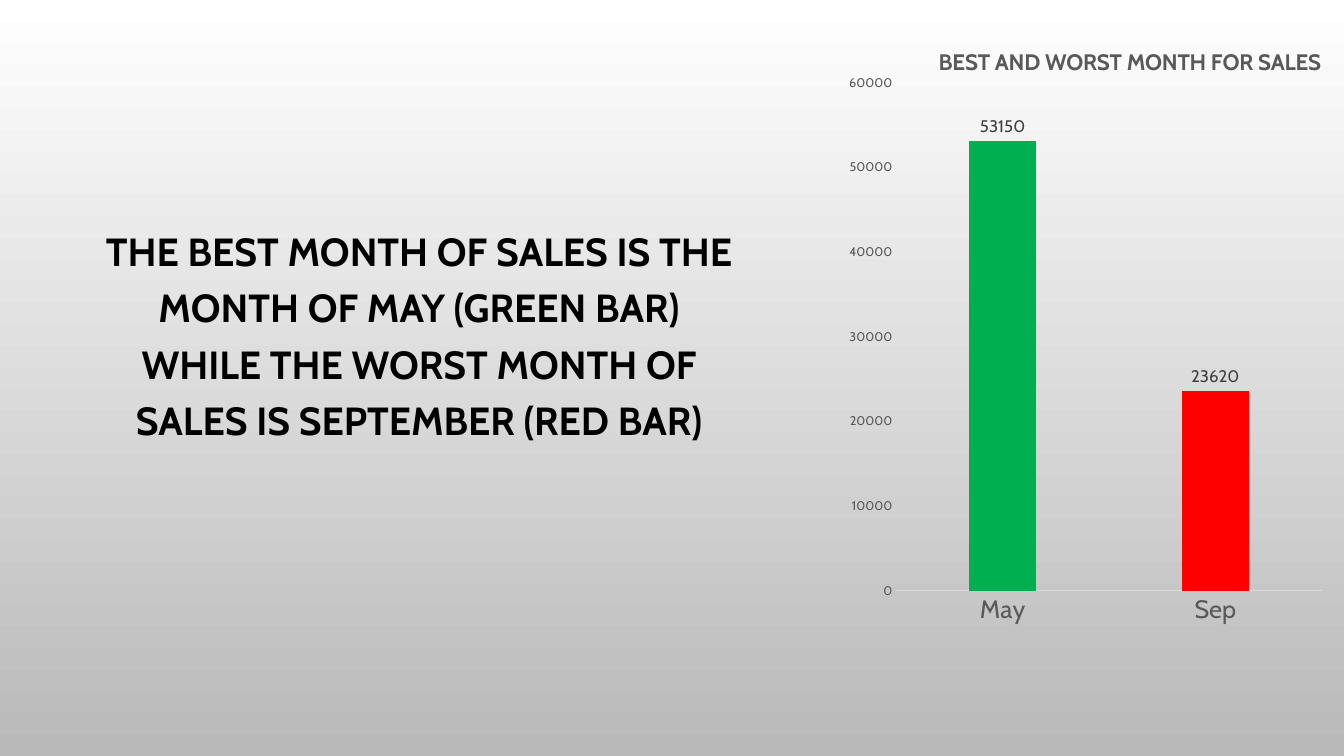
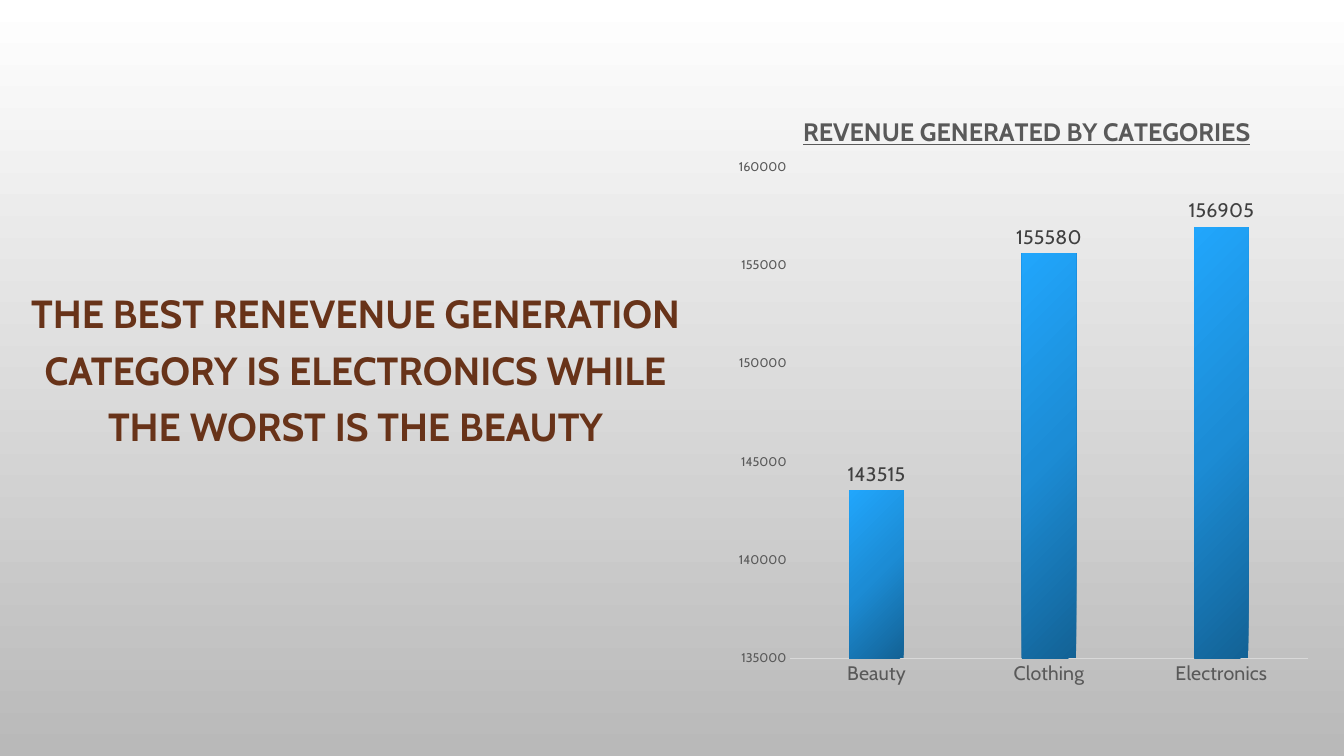
from copy import deepcopy
from dataclasses import dataclass
from lxml.etree import SubElement, Element
from pptx import Presentation
from pptx.chart.data import CategoryChartData
from pptx.dml.color import RGBColor
from pptx.enum.chart import XL_CHART_TYPE, XL_LABEL_POSITION, XL_TICK_MARK
from pptx.enum.text import MSO_ANCHOR, MSO_AUTO_SIZE, PP_ALIGN
from pptx.oxml.ns import qn
from pptx.util import Inches, Pt


@dataclass(frozen=True)
class Theme:
    face: str = "Cabin"
    black: str = "000000"
    brown: str = "683319"
    gray: str = "595959"
    dark: str = "404040"
    rule: str = "D9D9D9"
    green: str = "00B050"
    red: str = "FF0000"
    back: tuple = ((0, "FFFFFF"), (1, "B9B9B9"))
    blue: tuple = ((0, "136295"), (0.5, "1C8CD5"), (1, "21A6FC"))
    head: int = 28
    base: int = 10
    tick: int = 9


THEME = Theme()


def style(font, size, color, bold=False, under=False):
    font.name = THEME.face
    font.size = Pt(size)
    font.color.rgb = RGBColor.from_string(color)
    font.bold = bold
    font.underline = under


def fade(fill, root, stops, angle):
    fill.gradient()
    fill.gradient_angle = angle
    group = root.find(".//" + qn("a:gsLst"))
    while len(group) < len(stops):
        group.append(deepcopy(group[0]))
    for stop, (place, color) in zip(fill.gradient_stops, stops):
        stop.position = place
        stop.color.rgb = RGBColor.from_string(color)


def layout(node, index, box, size, inner=False):
    for old in node.findall(qn("c:layout")):
        node.remove(old)
    outer = Element(qn("c:layout"))
    node.insert(index, outer)
    manual = SubElement(outer, qn("c:manualLayout"))
    if inner:
        SubElement(manual, qn("c:layoutTarget")).set("val", "inner")
    for name in ("xMode", "yMode"):
        SubElement(manual, qn("c:" + name)).set("val", "edge")
    for name, part, whole in zip("xywh", box, size * 2):
        SubElement(manual, qn("c:" + name)).set("val", f"{part / whole:.4f}")


def claim(slide, box, text, color):
    title = slide.shapes.title
    title.left, title.top, title.width, title.height = map(Inches, box)
    frame = title.text_frame
    frame.text = text
    frame.word_wrap = True
    frame.auto_size = MSO_AUTO_SIZE.NONE
    frame.vertical_anchor = MSO_ANCHOR.TOP
    para = frame.paragraphs[0]
    para.alignment = PP_ALIGN.CENTER
    para.line_spacing = 1.2
    para.space_before = Pt(10)
    style(para.runs[0].font, THEME.head, color, bold=True)


def axes(chart, size, scale):
    cat, val = chart.category_axis, chart.value_axis
    for axis, points in ((cat, size), (val, THEME.tick)):
        axis.major_tick_mark = XL_TICK_MARK.NONE
        axis.minor_tick_mark = XL_TICK_MARK.NONE
        axis.has_major_gridlines = False
        style(axis.tick_labels.font, points, THEME.gray)
    cat.format.line.color.rgb = RGBColor.from_string(THEME.rule)
    cat.format.line.width = Pt(0.75)
    val.format.line.fill.background()
    val.minimum_scale, val.maximum_scale, val.major_unit = scale


def bars(slide, box, title, spot, area, data, scale, sizes, fills=(), under=False):
    head, name, label = sizes
    source = CategoryChartData(number_format="General")
    source.categories = list(data)
    source.add_series("Series 1", data.values())
    chart = slide.shapes.add_chart(
        XL_CHART_TYPE.COLUMN_CLUSTERED, *map(Inches, box), source).chart
    style(chart.font, THEME.base, THEME.black)
    chart.has_legend = False
    axes(chart, name, scale)

    chart.has_title = True
    para = chart.chart_title.text_frame.paragraphs[0]
    para.text = title
    style(para.runs[0].font, head, THEME.gray, True, under)
    chart.chart_title.include_in_layout = False
    size = box[2:]
    layout(chart.chart_title._element, 1, spot, size)
    layout(chart._chartSpace.find(".//" + qn("c:plotArea")), 0, area, size, inner=True)

    plot = chart.plots[0]
    plot.gap_width = 219
    plot.overlap = -27
    plot.vary_by_categories = False
    series = plot.series[0]
    if fills:
        for index, color in enumerate(fills):
            fill = series.points[index].format.fill
            fill.solid()
            fill.fore_color.rgb = RGBColor.from_string(color)
    else:
        fade(series.format.fill, series._element, THEME.blue, 135)
    labels = series.data_labels
    labels.show_value = True
    labels.position = XL_LABEL_POSITION.OUTSIDE_END
    style(labels.font, label, THEME.dark)


def months(slide):
    claim(slide, (0.91, 2.11, 6.49, 2.81),
          "THE BEST MONTH OF SALES IS THE MONTH OF MAY (GREEN BAR) "
          "WHILE THE WORST MONTH OF SALES IS SEPTEMBER (RED BAR)", THEME.black)
    bars(slide, (8.33, 0.08, 4.87, 6.26), "BEST AND WORST MONTH FOR SALES",
         (0.94, 0.34), (0.56, 0.74, 4.22, 5.04), {"May": 53150, "Sep": 23620},
         (0, 60000, 10000), (16, 18, 12), (THEME.green, THEME.red))


def groups(slide):
    claim(slide, (0.17, 2.73, 6.71, 2.36),
          "THE BEST RENEVENUE GENERATION CATEGORY IS ELECTRONICS "
          "WHILE THE WORST IS THE BEAUTY", THEME.brown)
    bars(slide, (7.21, 0.87, 5.87, 6.06), "REVENUE GENERATED BY CATEGORIES",
         (0.71, 0.22), (0.63, 0.78, 5.13, 4.88),
         {"Beauty": 143515, "Clothing": 155580, "Electronics": 156905},
         (135000, 160000, 5000), (18, 14, 14), under=True)


def main():
    deck = Presentation()
    deck.slide_width, deck.slide_height = Inches(13.33), Inches(7.5)
    master = deck.slide_master
    fade(master.background.fill, master.element, THEME.back, 270)
    for build in (months, groups):
        build(deck.slides.add_slide(deck.slide_layouts[5]))
    deck.save("out.pptx")


if __name__ == "__main__":
    main()
